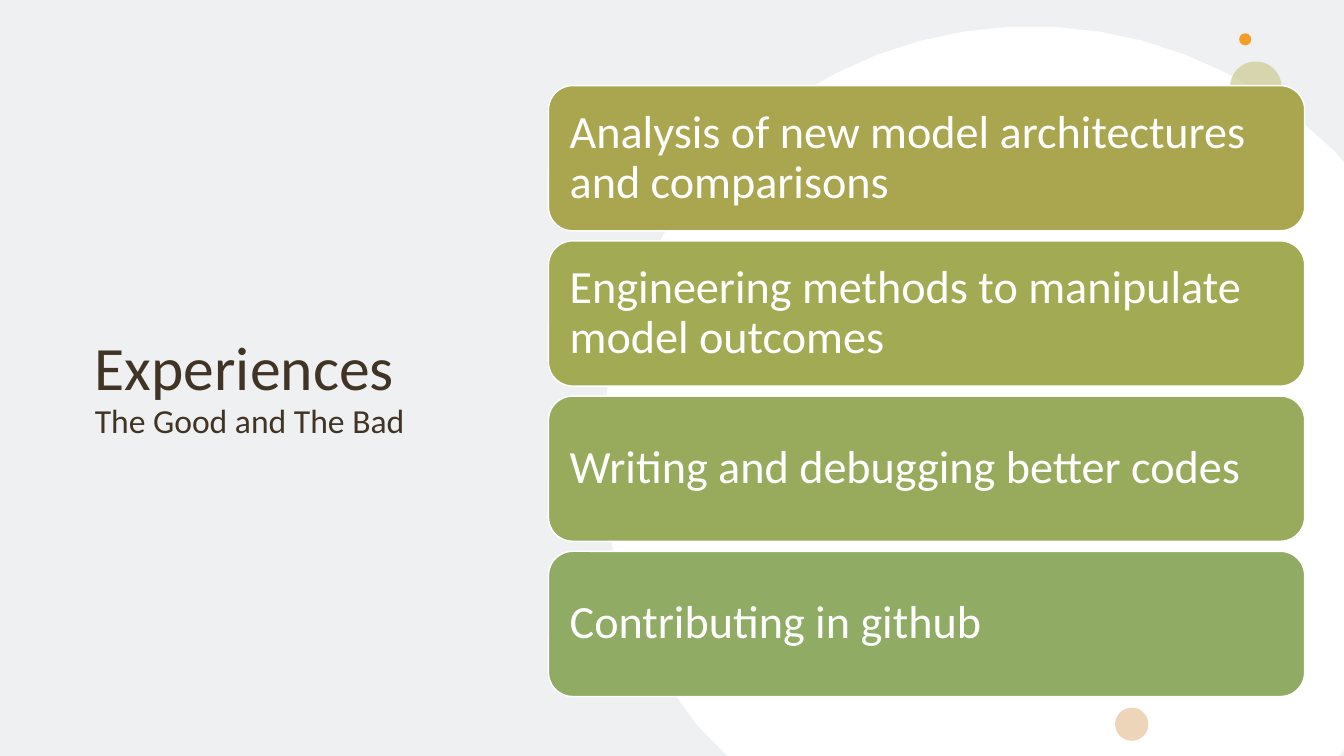
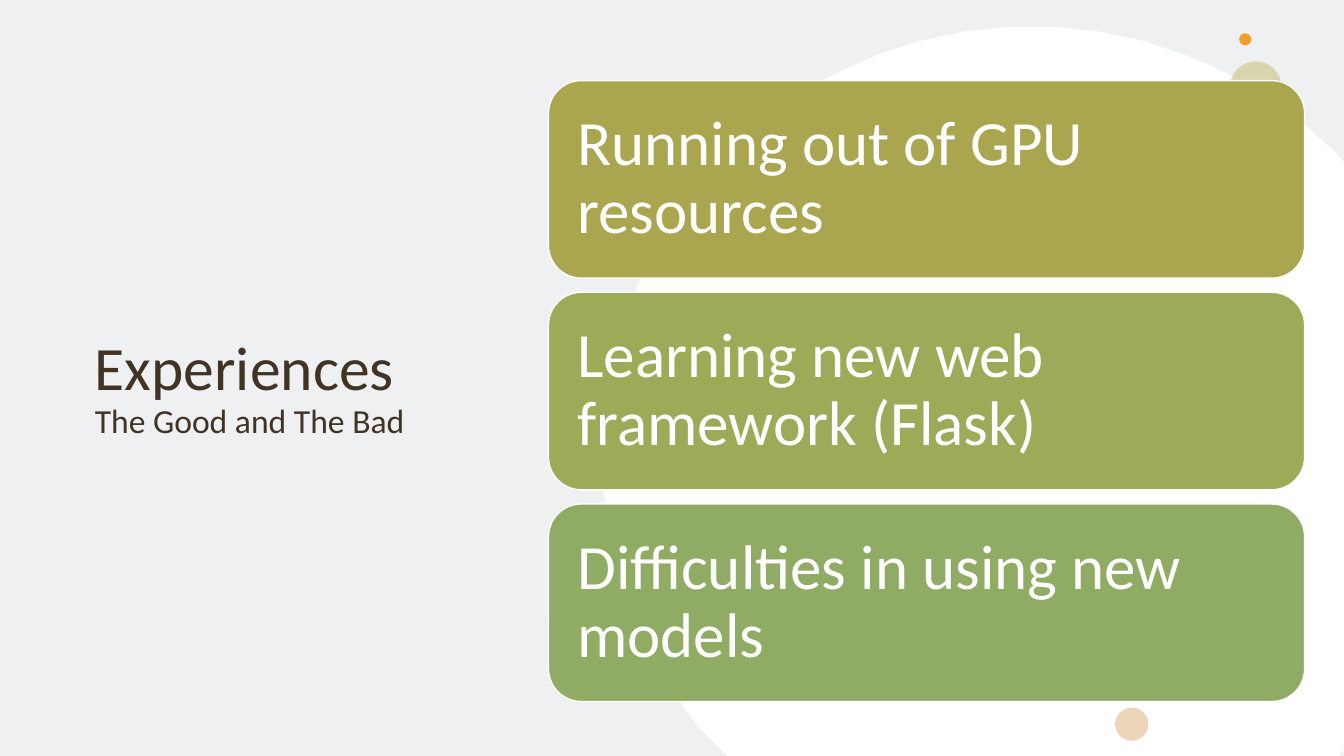
from math import cos, radians, sin

from lxml import etree
from pptx import Presentation
from pptx.dml.color import RGBColor
from pptx.enum.shapes import MSO_SHAPE
from pptx.enum.text import MSO_ANCHOR, MSO_AUTO_SIZE, PP_ALIGN
from pptx.oxml.ns import qn
from pptx.util import Inches, Pt

OVAL = MSO_SHAPE.OVAL
ROUND = MSO_SHAPE.ROUNDED_RECTANGLE
MIDDLE = MSO_ANCHOR.MIDDLE
LEFT = PP_ALIGN.LEFT
NO_FIT = MSO_AUTO_SIZE.NONE

WHITE = RGBColor(0xFF, 0xFF, 0xFF)
MIST = RGBColor(0xEE, 0xF0, 0xF2)
BROWN = RGBColor(0x41, 0x34, 0x24)
KHAKI = RGBColor(0xCD, 0xCB, 0x94)
ORANGE = RGBColor(0xF3, 0x9E, 0x29)
SAND = RGBColor(0xED, 0xD5, 0xB9)
OLIVE = RGBColor(0xA9, 0xA6, 0x4F)
MOSS = RGBColor(0xA2, 0xAB, 0x54)
LEAF = RGBColor(0x9D, 0xAB, 0x58)
FERN = RGBColor(0x98, 0xAB, 0x5C)
SAGE = RGBColor(0x90, 0xAB, 0x63)

FONT = "Calibri"
WIDE, HIGH = 13.33, 7.5
CARD_X, CARD_W, CARD_MID = 5.44, 7.5, 3.88
DISC_X, DISC_Y, DISC_R = 10.23, 4.52, 4.26
DISC_EDGE = [(WIDE, 1.61), (WIDE, 7.44), (13.28, HIGH)]
DOTS = [
    (12.2, 0.61, 0.51, KHAKI, 72),
    (12.29, 0.33, 0.12, ORANGE, 100),
    (11.06, 7.02, 0.33, SAND, 100),
]


def paint(shape, color, alpha=100):
    shape.shadow.inherit = False
    shape.fill.solid()
    shape.fill.fore_color.rgb = color
    shape.line.fill.background()
    if alpha < 100:
        tone = shape._element.spPr.find(".//" + qn("a:srgbClr"))
        etree.SubElement(tone, qn("a:alpha"), val=str(alpha * 1000))


def style(font, size, color):
    font.name = FONT
    font.size = Pt(size)
    font.color.rgb = color


def add_disc(slide):
    arc = [(DISC_X + DISC_R * cos(radians(turn)),
            min(DISC_Y + DISC_R * sin(radians(turn)), HIGH))
           for turn in range(135, 316, 6)]
    points = [(Inches(x), Inches(y)) for x, y in arc + DISC_EDGE]
    path = slide.shapes.build_freeform(*points[0])
    path.add_line_segments(points[1:])
    paint(path.convert_to_shape(), WHITE)


def add_dot(slide, x, y, size, color, alpha):
    dot = slide.shapes.add_shape(
        OVAL, Inches(x), Inches(y), Inches(size), Inches(size))
    paint(dot, color, alpha)


def set_title(slide, head, sub):
    frame = slide.shapes.title.text_frame
    frame.auto_size = NO_FIT
    frame.vertical_anchor = MIDDLE
    para = frame.paragraphs[0]
    para.alignment = LEFT
    para.line_spacing = 0.9
    style(para.font, 44, BROWN)
    para.add_run().text = head
    para.add_line_break()
    run = para.add_run()
    run.text = sub
    run.font.size = Pt(24)


def add_card(slide, text, color, top, height, size, inset):
    card = slide.shapes.add_shape(
        ROUND, Inches(CARD_X), Inches(top), Inches(CARD_W), Inches(height))
    paint(card, color)
    card.line.color.rgb = WHITE
    card.line.width = Pt(1)
    frame = card.text_frame
    frame.word_wrap = True
    frame.vertical_anchor = MIDDLE
    frame.margin_left = frame.margin_right = Inches(inset)
    frame.margin_top = frame.margin_bottom = Inches(inset)
    para = frame.paragraphs[0]
    para.text = text
    para.alignment = LEFT
    para.line_spacing = 0.9
    style(para.font, size, WHITE)


def add_cards(slide, cards, height, gap, size, inset):
    pitch = height + gap
    top = CARD_MID - (len(cards) * pitch - gap) / 2
    for row, (text, color) in enumerate(cards):
        add_card(slide, text, color, top + row * pitch, height, size, inset)


def set_layout(deck):
    deck.slide_width, deck.slide_height = Inches(WIDE), Inches(HIGH)
    layout = deck.slide_layouts.get_by_name("Title Only")
    back = layout.background.fill
    back.solid()
    back.fore_color.rgb = MIST
    title = layout.placeholders[0]
    title.left, title.top = Inches(0.84), Inches(1.04)
    title.width, title.height = Inches(4.37), Inches(5.64)
    return layout


def add_slide(deck, layout):
    slide = deck.slides.add_slide(layout)
    set_title(slide, "Experiences", "The Good and The Bad")
    add_disc(slide)
    for dot in DOTS:
        add_dot(slide, *dot)
    return slide


def main():
    deck = Presentation()
    layout = set_layout(deck)
    good = [
        ("Analysis of new model architectures and comparisons", OLIVE),
        ("Engineering methods to manipulate model outcomes", MOSS),
        ("Writing and debugging better codes", FERN),
        ("Contributing in github", SAGE),
    ]
    add_cards(add_slide(deck, layout), good, 1.44, 0.1, 33, 0.14)
    bad = [
        ("Running out of GPU resources", OLIVE),
        ("Learning new web framework (Flask)", LEAF),
        ("Difficulties in using new models", SAGE),
    ]
    add_cards(add_slide(deck, layout), bad, 1.96, 0.14, 45, 0.19)
    deck.save("out.pptx")


if __name__ == "__main__":
    main()
